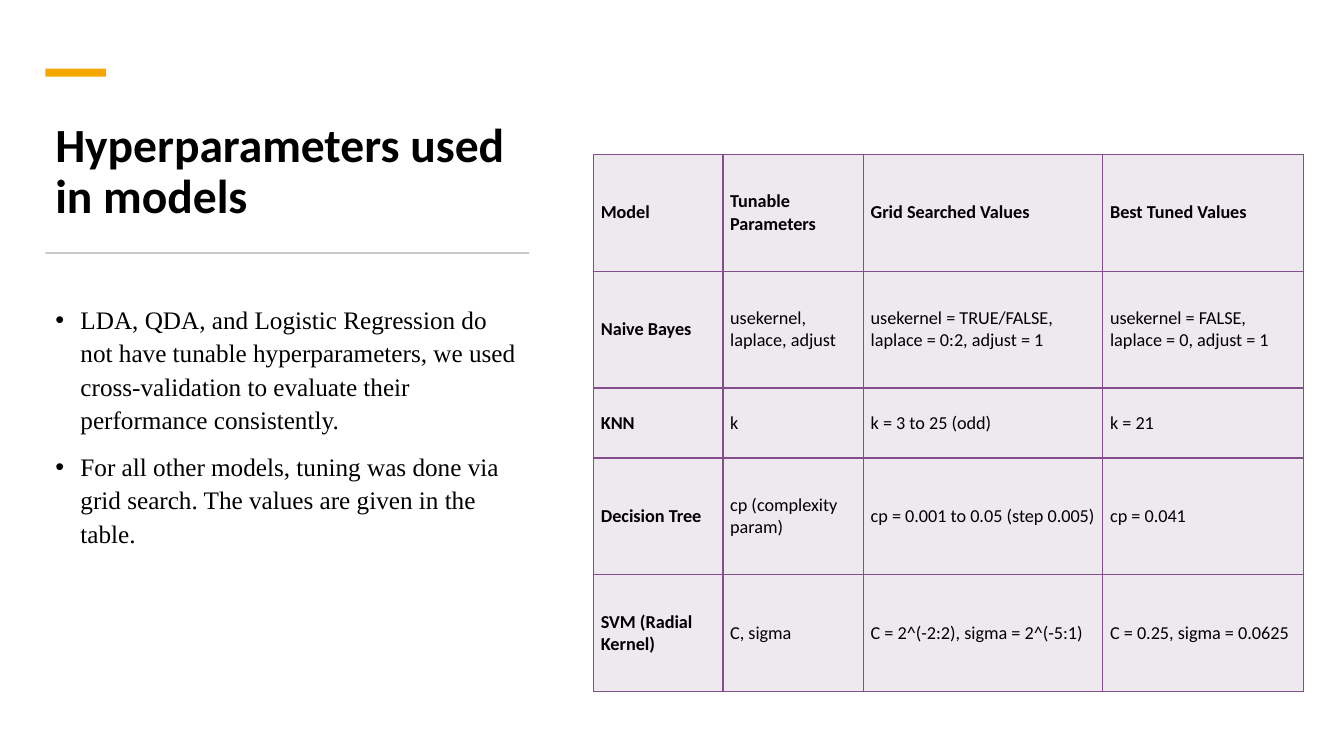
import pptx
import pptx.util
import pptx.dml.color
import pptx.enum.shapes
import pptx.enum.text
import pptx.oxml.ns
import lxml.etree

Pt = pptx.util.Pt
qn = pptx.oxml.ns.qn
ANCHOR = pptx.enum.text.MSO_ANCHOR

COLORS = {
    "text": "000000",
    "accent": "F5A700",
    "rule": "C9C9C9",
    "cell": "EDE9EE",
    "border": "824F8C",
}

LEFT = 32.4
TEXT_WIDTH = 350

TITLE = "Hyperparameters used in models"
NOTES = [
    "LDA, QDA, and Logistic Regression do not have tunable hyperparameters, "
    "we used cross-validation to evaluate their performance consistently.",
    "For all other models, tuning was done via grid search. "
    "The values are given in the table.",
]

COLUMN_WIDTHS = [92.4, 100.4, 171, 143.2]
ROW_HEIGHTS = [83.5, 83.5, 50, 83.5, 83.5]
TUNING = [
    ["Model", "Tunable Parameters", "Grid Searched Values", "Best Tuned Values"],
    ["Naive Bayes", "usekernel, laplace, adjust",
     "usekernel = TRUE/FALSE, laplace = 0:2, adjust = 1",
     "usekernel = FALSE, laplace = 0, adjust = 1"],
    ["KNN", "k", "k = 3 to 25 (odd)", "k = 21"],
    ["Decision Tree", "cp (complexity param)",
     "cp = 0.001 to 0.05 (step 0.005)", "cp = 0.041"],
    ["SVM (Radial Kernel)", "C, sigma",
     "C = 2^(-2:2), sigma = 2^(-5:1)", "C = 0.25, sigma = 0.0625"],
]


def rgb(name):
    return pptx.dml.color.RGBColor.from_string(COLORS[name])


def write(paragraph, text, font, size, bold=False):
    paragraph.text = text
    for run in paragraph.runs:
        run.font.name = font
        run.font.size = Pt(size)
        run.font.bold = bold
        run.font.color.rgb = rgb("text")


def add_bar(slide, left, top, width, height, color):
    bar = slide.shapes.add_shape(
        pptx.enum.shapes.MSO_SHAPE.RECTANGLE,
        Pt(left), Pt(top), Pt(width), Pt(height))
    bar.shadow.inherit = False
    bar.fill.solid()
    bar.fill.fore_color.rgb = rgb(color)
    bar.line.fill.background()


def add_text_frame(slide, top, height, anchor):
    box = slide.shapes.add_textbox(Pt(LEFT), Pt(top), Pt(TEXT_WIDTH), Pt(height))
    frame = box.text_frame
    frame.word_wrap = True
    frame.vertical_anchor = anchor
    return frame


def add_title(slide):
    heading = add_text_frame(slide, 77.8, 85.7, ANCHOR.BOTTOM).paragraphs[0]
    write(heading, TITLE, "Calibri", 34, bold=True)
    heading.line_spacing = 0.9


def add_bullets(slide):
    frame = add_text_frame(slide, 211.7, 275, ANCHOR.TOP)
    for index, note in enumerate(NOTES):
        bullet = frame.add_paragraph() if index else frame.paragraphs[0]
        write(bullet, note, "Times New Roman", 18)
        bullet.line_spacing = 1.1
        bullet.space_before = Pt(10)
        properties = bullet._p.get_or_add_pPr()
        properties.set("marL", str(Pt(18)))
        properties.set("indent", str(-Pt(18)))
        lxml.etree.SubElement(properties, qn("a:buFont"), typeface="Arial")
        lxml.etree.SubElement(properties, qn("a:buChar"), char="•")


def add_borders(cell):
    properties = cell._tc.get_or_add_tcPr()
    for side in ("a:lnL", "a:lnR", "a:lnT", "a:lnB"):
        line = lxml.etree.SubElement(properties, qn(side), w=str(Pt(1)))
        fill = lxml.etree.SubElement(line, qn("a:solidFill"))
        lxml.etree.SubElement(fill, qn("a:srgbClr"), val=COLORS["border"])


def fill_cell(cell, text, bold):
    write(cell.text_frame.paragraphs[0], text, "Calibri", 13, bold)
    cell.vertical_anchor = ANCHOR.MIDDLE
    cell.margin_left = cell.margin_right = Pt(5.2)
    cell.margin_top = cell.margin_bottom = Pt(2.6)
    add_borders(cell)
    cell.fill.solid()
    cell.fill.fore_color.rgb = rgb("cell")


def add_tuning_table(slide):
    table = slide.shapes.add_table(
        len(TUNING), len(COLUMN_WIDTHS), Pt(424), Pt(110.2),
        Pt(sum(COLUMN_WIDTHS)), Pt(sum(ROW_HEIGHTS))).table
    for column, width in zip(table.columns, COLUMN_WIDTHS):
        column.width = Pt(width)
    for row, height in zip(table.rows, ROW_HEIGHTS):
        row.height = Pt(height)
    # Header row and model names are bold
    for r, values in enumerate(TUNING):
        for c, value in enumerate(values):
            fill_cell(table.cell(r, c), value, bold=r == 0 or c == 0)


def main():
    deck = pptx.Presentation()
    deck.slide_width = Pt(960)
    deck.slide_height = Pt(540)
    slide = deck.slides.add_slide(deck.slide_layouts[6])

    # Heading with accent and rule
    add_title(slide)
    add_bar(slide, LEFT, 49, 43.2, 5.8, "accent")
    add_bar(slide, LEFT, 180, 345.6, 1.4, "rule")

    # Explanation and tuning results
    add_bullets(slide)
    add_tuning_table(slide)

    deck.save("out.pptx")


if __name__ == "__main__":
    main()
